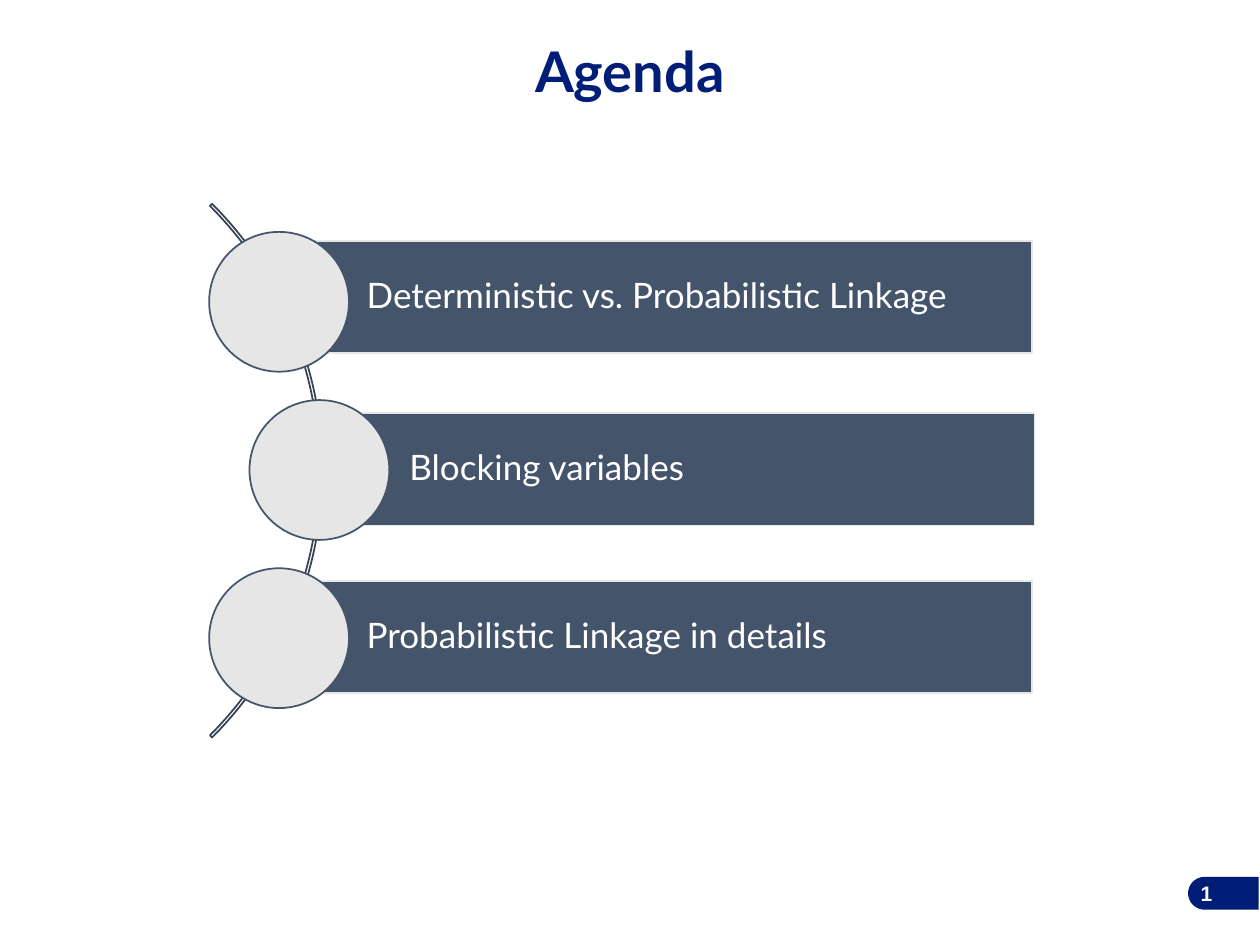
from math import cos, pi, sin

from pptx import Presentation
from pptx.dml.color import RGBColor
from pptx.enum.shapes import MSO_SHAPE
from pptx.enum.text import MSO_ANCHOR, PP_ALIGN
from pptx.util import Inches, Pt

NAVY, SLATE, PALE, WHITE = "001D77", "44546A", "E7E6E6", "FFFFFF"
ARC_LINE = "364355"

TITLE = "Agenda"
PAGE_NUMBER = "1"
TOPICS = [
    ("Deterministic vs. Probabilistic Linkage", 2.2, 1.91, 5.99, 1.66),
    ("Blocking variables", 2.54, 3.28, 5.67, 1.98),
    ("Probabilistic Linkage in details", 2.2, 4.61, 5.99, 1.66),
]
BAR_HEIGHT = 0.89
CIRCLE_SIZE = 1.11
FIRST_CIRCLE_TOP, CIRCLE_STEP = 1.84, 1.335

TITLE_FORMAT = {"name": "Lato", "size": Pt(32), "bold": True}
TOPIC_FORMAT = {"name": "Lato", "size": Pt(20), "bold": False}
NUMBER_FORMAT = {"name": "Arial", "size": Pt(12), "bold": True}
TOPIC_FRAME = {
    "word_wrap": True,
    "vertical_anchor": MSO_ANCHOR.MIDDLE,
    "margin_left": Inches(0.71),
    "margin_top": Inches(0.06),
    "margin_right": Inches(0.06),
    "margin_bottom": Inches(0.06),
}


def color(code):
    return RGBColor.from_string(code)


def apply(target, values):
    for key, value in values.items():
        setattr(target, key, value)


def paint(shape, fill=None, line=None):
    shape.shadow.inherit = False
    if fill:
        shape.fill.solid()
        shape.fill.fore_color.rgb = color(fill)
    else:
        shape.fill.background()
    if line:
        shape.line.color.rgb = color(line)
        shape.line.width = Pt(1)
    else:
        shape.line.fill.background()


def add_preset(slide, kind, box, fill, line):
    shape = slide.shapes.add_shape(kind, *map(Inches, box))
    paint(shape, fill, line)
    return shape


def write(shape, text, font_format, ink, frame_format, paragraph_format):
    apply(shape.text_frame, frame_format)
    paragraph = shape.text_frame.paragraphs[0]
    apply(paragraph, paragraph_format)
    run = paragraph.add_run()
    run.text = text
    apply(run.font, font_format)
    run.font.color.rgb = color(ink)


def add_label(slide, box, *content):
    write(slide.shapes.add_textbox(*map(Inches, box)), *content)


def add_page_tab(slide, left=9.43, top=6.96, right=9.99, radius=0.13, steps=24):
    angles = [pi / 2 + pi * step / steps for step in range(steps + 1)]
    curve = [
        (left + radius + radius * cos(angle), top + radius + radius * sin(angle))
        for angle in angles
    ]
    outline = [(right, top), (right, top + 2 * radius)] + curve
    points = [(Inches(x), Inches(y)) for x, y in outline]
    builder = slide.shapes.build_freeform(*points[0])
    builder.add_line_segments(points[1:], close=True)
    paint(builder.convert_to_shape(), NAVY)


def main():
    deck = Presentation()
    deck.slide_width, deck.slide_height = Inches(10), Inches(7.5)
    slide = deck.slides.add_slide(deck.slide_layouts[6])

    add_page_tab(slide)
    add_label(slide, (7.47, 6.89, 2.25, 0.4), PAGE_NUMBER, NUMBER_FORMAT, WHITE,
              {"word_wrap": True, "vertical_anchor": MSO_ANCHOR.MIDDLE},
              {"alignment": PP_ALIGN.RIGHT})
    add_label(slide, (0.3, 0.24, 9.4, 0.64), TITLE, TITLE_FORMAT, NAVY,
              {"word_wrap": True}, {"alignment": PP_ALIGN.CENTER})

    arc = add_preset(slide, MSO_SHAPE.BLOCK_ARC, (-3.43, 0.74, 5.99, 5.99), None, ARC_LINE)
    for index, value in enumerate((189, 27, 0.004)):
        arc.adjustments[index] = value

    for row, (topic, left, top, width, circle_left) in enumerate(TOPICS):
        bar = add_preset(slide, MSO_SHAPE.RECTANGLE, (left, top, width, BAR_HEIGHT), SLATE, PALE)
        write(bar, topic, TOPIC_FORMAT, WHITE, TOPIC_FRAME,
              {"alignment": PP_ALIGN.LEFT, "line_spacing": 0.9})
        circle_top = FIRST_CIRCLE_TOP + row * CIRCLE_STEP
        add_preset(slide, MSO_SHAPE.OVAL,
                   (circle_left, circle_top, CIRCLE_SIZE, CIRCLE_SIZE), PALE, SLATE)

    deck.save("out.pptx")


if __name__ == "__main__":
    main()
